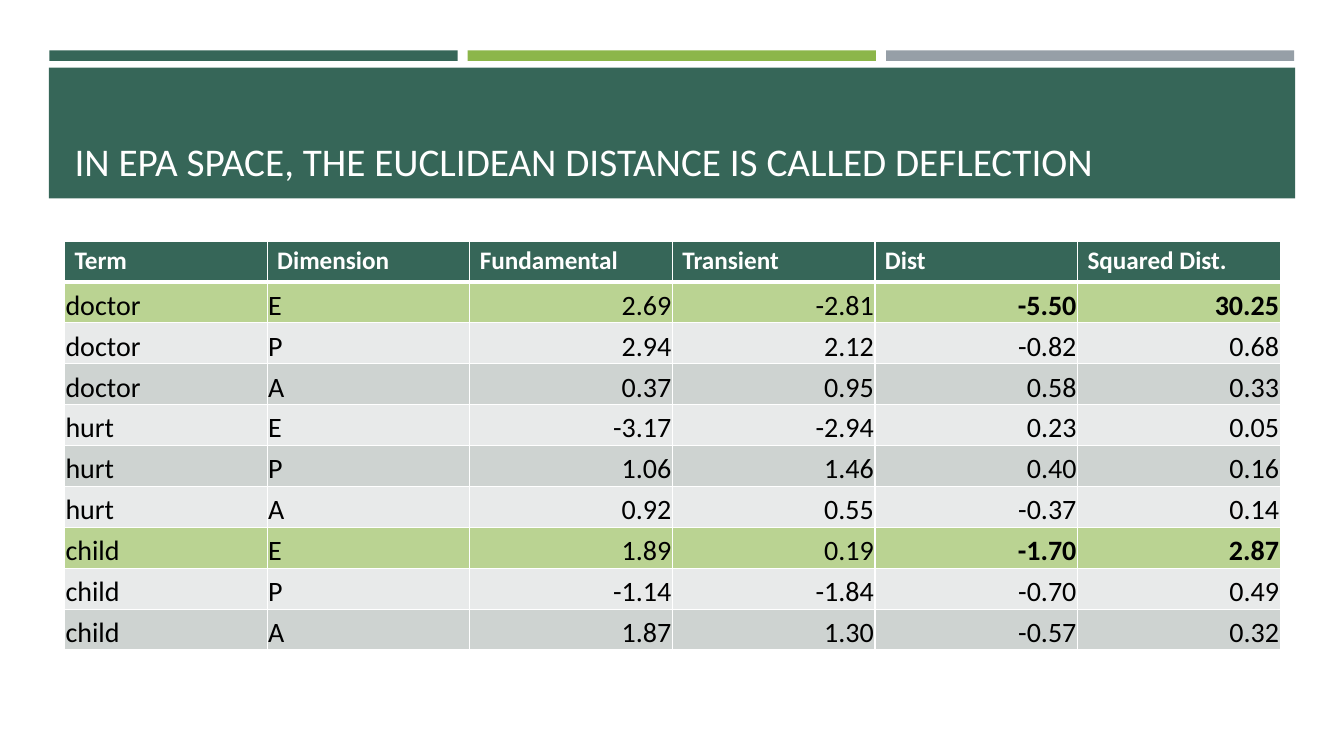
from lxml.etree import SubElement
from pptx import Presentation
from pptx.dml.color import RGBColor
from pptx.enum.shapes import MSO_SHAPE
from pptx.enum.text import MSO_ANCHOR, PP_ALIGN
from pptx.oxml.ns import qn
from pptx.util import Inches, Pt

WIDE, HIGH = Inches(13.333), Inches(7.5)
GREEN = RGBColor(0x36, 0x66, 0x58)
LIME = RGBColor(0x8C, 0xB6, 0x4A)
GREY = RGBColor(0x96, 0x9F, 0xA7)
PALE = RGBColor(0xBA, 0xD3, 0x92)
LIGHT = RGBColor(0xE8, 0xEA, 0xEA)
DARK = RGBColor(0xCE, 0xD3, 0xD1)
WHITE = RGBColor(0xFF, 0xFF, 0xFF)
BLACK = RGBColor(0, 0, 0)
FONT = "Calibri"

# Boxes are left, top, width and height in percent of the slide
STRIPES = (3.68, 6.67, 92.62, 1.4)
BANNER = (3.63, 8.93, 92.74, 17.33)
TITLE = (4.8, 10.27, 90.45, 14.8)
TABLE = (4.8, 31.87, 90.45, 54.13)
GAP = 0.75

HEADS = ["Term", "Dimension", "Fundamental", "Transient", "Dist", "Squared Dist."]
ROWS = [
    ["doctor", "E", "2.69", "-2.81", "-5.50", "30.25"],
    ["doctor", "P", "2.94", "2.12", "-0.82", "0.68"],
    ["doctor", "A", "0.37", "0.95", "0.58", "0.33"],
    ["hurt", "E", "-3.17", "-2.94", "0.23", "0.05"],
    ["hurt", "P", "1.06", "1.46", "0.40", "0.16"],
    ["hurt", "A", "0.92", "0.55", "-0.37", "0.14"],
    ["child", "E", "1.89", "0.19", "-1.70", "2.87"],
    ["child", "P", "-1.14", "-1.84", "-0.70", "0.49"],
    ["child", "A", "1.87", "1.30", "-0.57", "0.32"],
]
MARKED = {1, 7}  # table rows with the largest deflection
HEAD_PADS = {"margin_left": Inches(0.1), "margin_right": Inches(0.1),
             "margin_top": Inches(0.05), "margin_bottom": Inches(0.05)}
BODY_PADS = {"margin_left": Inches(0.01), "margin_right": Inches(0.01),
             "margin_top": Inches(0.01), "margin_bottom": 0}


def scale(box):
    """Turn a percent box into slide lengths."""
    return [round(part * side / 100) for part, side in zip(box, (WIDE, HIGH) * 2)]


def apply(thing, form):
    for name, value in form.items():
        setattr(thing, name, value)


def style(para, size, color, bold=False, align=PP_ALIGN.LEFT):
    para.alignment = align
    for run in para.runs:
        apply(run.font, {"name": FONT, "size": Pt(size), "bold": bold})
        run.font.color.rgb = color


def add_bar(slide, box, color):
    bar = slide.shapes.add_shape(MSO_SHAPE.RECTANGLE, *scale(box))
    bar.shadow.inherit = False
    bar.fill.solid()
    bar.fill.fore_color.rgb = color
    bar.line.fill.background()


def add_stripes(slide, box):
    left, top, width, height = box
    colors = (GREEN, LIME, GREY)
    part = (width - GAP * (len(colors) - 1)) / len(colors)
    for i, color in enumerate(colors):
        add_bar(slide, (left + i * (part + GAP), top, part, height), color)


def add_title(slide, box, text):
    title = slide.shapes.title
    slide.shapes._spTree.append(title._element)  # bring in front of the banner
    apply(title, dict(zip(("left", "top", "width", "height"), scale(box))))
    frame = title.text_frame
    apply(frame, {"text": text, "word_wrap": True, "vertical_anchor": MSO_ANCHOR.BOTTOM})
    style(frame.paragraphs[0], 28, WHITE)


def add_edges(cell, row):
    """Draw white cell borders, with a thick one under the header."""
    props = cell._tc.get_or_add_tcPr()
    thick = {0: "lnB", 1: "lnT"}.get(row)
    for side in ("lnL", "lnR", "lnT", "lnB"):
        line = SubElement(props, qn(f"a:{side}"), w=str(Pt(3 if side == thick else 1)))
        fill = SubElement(line, qn("a:solidFill"))
        SubElement(fill, qn("a:srgbClr"), val=str(WHITE))


def fill_cell(cell, row, col, text):
    head, marked = row == 0, row in MARKED
    add_edges(cell, row)
    cell.fill.solid()
    band = DARK if row % 2 else LIGHT
    cell.fill.fore_color.rgb = GREEN if head else PALE if marked else band
    apply(cell, HEAD_PADS if head else BODY_PADS)
    cell.vertical_anchor = MSO_ANCHOR.TOP if head else MSO_ANCHOR.BOTTOM
    cell.text = text
    para = cell.text_frame.paragraphs[0]
    if head:
        style(para, 18, WHITE, bold=True)
    else:
        align = PP_ALIGN.RIGHT if col > 1 else PP_ALIGN.LEFT
        style(para, 20, BLACK, marked and col > 3, align)


def add_grid(slide, box):
    data = [HEADS] + ROWS
    area = scale(box)
    table = slide.shapes.add_table(len(data), len(HEADS), *area).table
    table.horz_banding = False
    for col in table.columns:
        col.width = area[2] // len(HEADS)
    for i, line in enumerate(data):
        table.rows[i].height = area[3] // len(data)
        for j, text in enumerate(line):
            fill_cell(table.cell(i, j), i, j, text)


def main():
    deck = Presentation()
    apply(deck, {"slide_width": WIDE, "slide_height": HIGH})
    slide = deck.slides.add_slide(deck.slide_layouts[5])
    add_stripes(slide, STRIPES)
    add_bar(slide, BANNER, GREEN)
    add_title(slide, TITLE, "IN EPA SPACE, THE EUCLIDEAN DISTANCE IS CALLED DEFLECTION")
    add_grid(slide, TABLE)
    deck.save("out.pptx")


if __name__ == "__main__":
    main()
